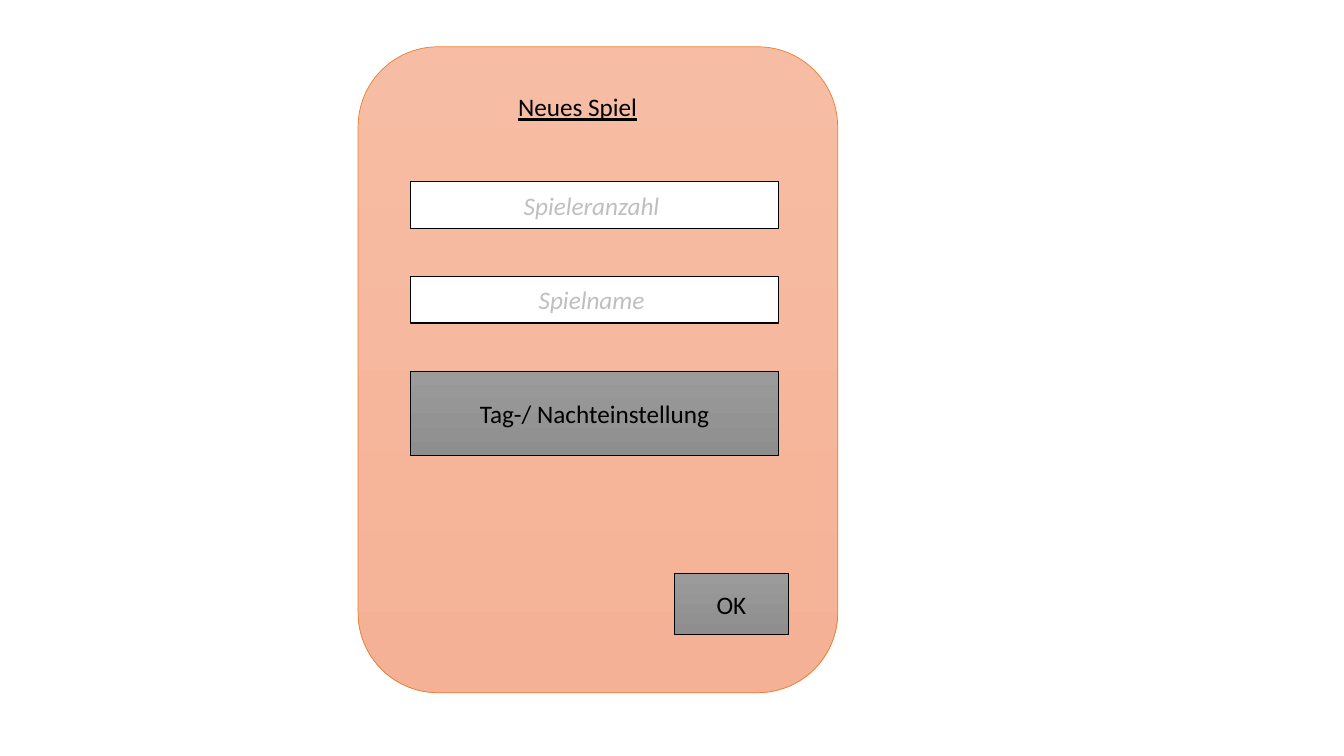
from pptx import Presentation
from pptx.dml.color import RGBColor
from pptx.enum.shapes import MSO_SHAPE
from pptx.enum.text import MSO_ANCHOR, PP_ALIGN
from pptx.util import Pt

COLORS = {
    "panel_top": "F7BDA4",
    "panel_bottom": "F5B195",
    "panel_line": "ED7D31",
    "button_top": "9B9B9B",
    "button_bottom": "8E8E8E",
    "white": "FFFFFF",
    "black": "000000",
    "hint": "BFBFBF",
}
FORM_LEFT, FORM_WIDTH = 293.2, 262.8
FORM_TOP, ROW_STEP = 129.8, 67.6
FIELD_HEIGHT, BUTTON_HEIGHT = 33.4, 60.6


def rgb(name):
    return RGBColor.from_string(COLORS[name])


class DialogSlide:
    font_name = "Calibri"
    font_size = 18

    def __init__(self, slide):
        self.slide = slide

    def label(self, shape, text, color="black", italic=None, underline=None):
        """Put one centred line of text into a shape."""
        paragraph = shape.text_frame.paragraphs[0]
        paragraph.text = text
        paragraph.alignment = PP_ALIGN.CENTER
        font = paragraph.runs[0].font
        font.name, font.size = self.font_name, Pt(self.font_size)
        font.color.rgb = rgb(color)
        font.italic, font.underline = italic, underline

    def box(self, kind, bounds, fills, line, line_width):
        """Draw a shape filled with one colour, or two blended downwards."""
        shape = self.slide.shapes.add_shape(kind, *map(Pt, bounds))
        shape.shadow.inherit = False
        if len(fills) == 1:
            shape.fill.solid()
            shape.fill.fore_color.rgb = rgb(fills[0])
        else:
            shape.fill.gradient()
            shape.fill.gradient_angle = 270
            for stop, name in zip(shape.fill.gradient_stops, fills):
                stop.color.rgb = rgb(name)
        shape.line.color.rgb = rgb(line)
        shape.line.width = Pt(line_width)
        shape.text_frame.vertical_anchor = MSO_ANCHOR.MIDDLE
        return shape

    def panel(self, *bounds):
        self.box(MSO_SHAPE.ROUNDED_RECTANGLE, bounds,
                 ("panel_top", "panel_bottom"), "panel_line", 0.5)

    def title(self, text, *bounds):
        shape = self.slide.shapes.add_textbox(*map(Pt, bounds))
        shape.text_frame.word_wrap = True
        self.label(shape, text, underline=True)

    def field(self, text, *bounds):
        shape = self.box(MSO_SHAPE.RECTANGLE, bounds, ("white",), "black", 1)
        self.label(shape, text, "hint", italic=True)

    def button(self, text, *bounds):
        shape = self.box(MSO_SHAPE.RECTANGLE, bounds,
                         ("button_top", "button_bottom"), "black", 0.5)
        self.label(shape, text)


def main():
    presentation = Presentation()
    presentation.slide_width, presentation.slide_height = Pt(960), Pt(540)
    blank = presentation.slide_layouts[6]
    dialog = DialogSlide(presentation.slides.add_slide(blank))

    dialog.panel(255.8, 33.4, 342.6, 461.4)
    dialog.title("Neues Spiel", 315.4, 61.9, 194.4, 29)
    rows = [
        (dialog.field, "Spieleranzahl ", FIELD_HEIGHT),
        (dialog.field, "Spielname ", FIELD_HEIGHT),
        (dialog.button, "Tag-/ Nachteinstellung", BUTTON_HEIGHT),
    ]
    for index, (draw, text, height) in enumerate(rows):
        draw(text, FORM_LEFT, FORM_TOP + index * ROW_STEP, FORM_WIDTH, height)
    dialog.button("OK", 481.6, 409.6, 81.6, 43.6)

    presentation.save("out.pptx")


if __name__ == "__main__":
    main()
